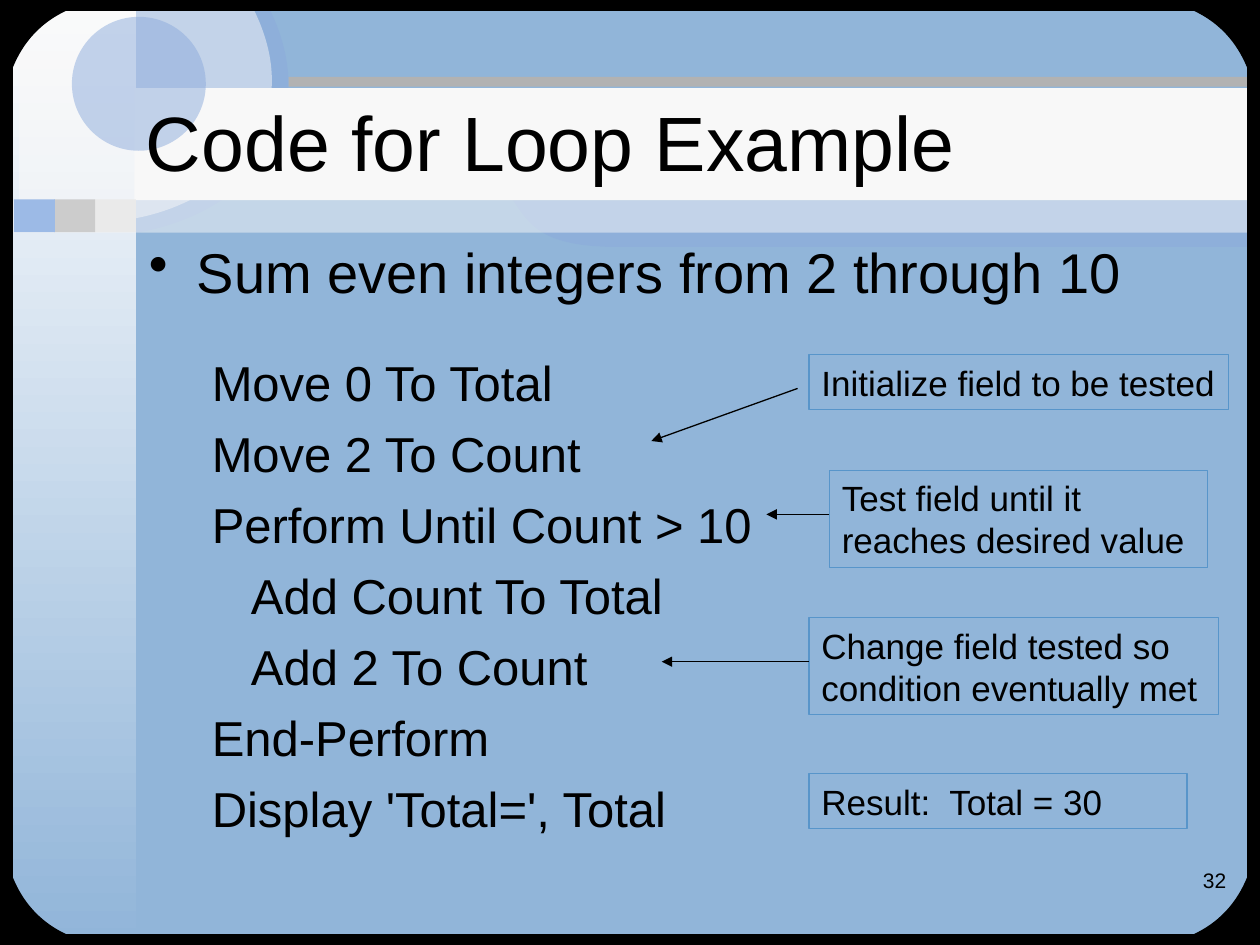
from dataclasses import dataclass
from typing import Optional

from lxml import etree
from pptx import Presentation
from pptx import util as u
from pptx.dml.color import RGBColor
from pptx.enum import shapes, text
from pptx.oxml import ns

WIDTH, HEIGHT = 25.4, 19.05
FONT = "Arial"
BLACK = RGBColor(0x00, 0x00, 0x00)
SKY = RGBColor(0x91, 0xB5, 0xD9)
HAZE = RGBColor(0x8C, 0xAB, 0xDC)
PAPER = RGBColor(0xF8, 0xF8, 0xF8)
SNOW = RGBColor(0xFE, 0xFE, 0xFE)
RULE_GREY = RGBColor(0xB2, 0xB2, 0xB2)
TILE_LIGHT = RGBColor(0xEA, 0xEA, 0xEA)
TILE_GREY = RGBColor(0xCC, 0xCC, 0xCC)
TILE_BLUE = RGBColor(0x9C, 0xBA, 0xE6)
CALLOUT_BLUE = RGBColor(0x58, 0x95, 0xCA)

Point = tuple[float, float]


@dataclass
class Panel:
    left: float
    top: float
    width: float
    height: float
    color: RGBColor
    alpha: int = 100
    kind: shapes.MSO_SHAPE = shapes.MSO_SHAPE.RECTANGLE
    edge: Optional[RGBColor] = None


@dataclass
class Callout:
    left: float
    top: float
    width: float
    height: float
    label: str


@dataclass
class CodeLine:
    words: str
    nested: bool = False


def paint(shape, color: RGBColor, alpha: int = 100, edge: Optional[RGBColor] = None) -> None:
    shape.shadow.inherit = False
    shape.fill.solid()
    shape.fill.fore_color.rgb = color
    if alpha < 100:
        tone = shape.fill._xPr.find(".//" + ns.qn("a:srgbClr"))
        etree.SubElement(tone, ns.qn("a:alpha"), val=str(alpha * 1000))
    if edge is None:
        shape.line.fill.background()
    else:
        shape.line.color.rgb = edge
        shape.line.width = u.Pt(0.75)


def draw_panel(page, panel: Panel):
    shape = page.shapes.add_shape(panel.kind, u.Cm(panel.left), u.Cm(panel.top),
                                  u.Cm(panel.width), u.Cm(panel.height))
    paint(shape, panel.color, panel.alpha, panel.edge)
    return shape


def draw_curves(page, points: list[Point], color: RGBColor, alpha: int = 100,
                edge: Optional[RGBColor] = None) -> None:
    """A start point, then two handles and an end point for each curve."""
    knots = [(u.Cm(x), u.Cm(y)) for x, y in points]
    builder = page.shapes.build_freeform(*knots[0])
    builder.add_line_segments(knots[1:], close=True)
    shape = builder.convert_to_shape()
    segments = list(shape._element.iter(ns.qn("a:lnTo")))
    for first in range(0, len(segments), 3):
        bend = etree.Element(ns.qn("a:cubicBezTo"))
        segments[first].addprevious(bend)
        for segment in segments[first:first + 3]:
            bend.append(segment[0])
            segment.getparent().remove(segment)
    paint(shape, color, alpha, edge)


def set_frame(frame, anchor=text.MSO_ANCHOR.TOP) -> None:
    frame.word_wrap = True
    frame.auto_size = text.MSO_AUTO_SIZE.NONE
    frame.vertical_anchor = anchor
    frame.margin_left = frame.margin_right = u.Cm(0.25)
    frame.margin_top = frame.margin_bottom = u.Cm(0.13)


def write(para, words: str, size: float, align=text.PP_ALIGN.LEFT) -> None:
    para.alignment = align
    span = para.add_run()
    span.text = words
    span.font.name = FONT
    span.font.size = u.Pt(size)
    span.font.color.rgb = BLACK


def indent(para, left: float, first: float = 0) -> None:
    props = para._p.get_or_add_pPr()
    props.set("marL", str(u.Cm(left)))
    props.set("indent", str(u.Cm(first)))


def draw_arrow(page, start: Point, end: Point) -> None:
    arrow = page.shapes.add_connector(shapes.MSO_CONNECTOR.STRAIGHT,
                                      *(u.Cm(value) for value in start + end))
    arrow.line.color.rgb = BLACK
    arrow.line.width = u.Pt(0.75)
    etree.SubElement(arrow.line._get_or_add_ln(), ns.qn("a:tailEnd"), type="triangle")
    etree.SubElement(arrow._element.spPr, ns.qn("a:effectLst"))


def draw_callout(page, note: Callout) -> None:
    box = page.shapes.add_shape(shapes.MSO_SHAPE.RECTANGLE, u.Cm(note.left), u.Cm(note.top),
                                u.Cm(note.width), u.Cm(note.height))
    paint(box, SKY, edge=CALLOUT_BLUE)
    box.fill.background()
    set_frame(box.text_frame)
    write(box.text_frame.paragraphs[0], note.label, 20)


def draw_backdrop(page) -> None:
    # Curved bands and side strip
    draw_curves(page, [(10.34, 4.04), (17.75, 4.04), (25.17, 4.04), (25.17, 4.04),
                       (25.17, 4.04), (25.17, 4.52), (25.17, 4.98),
                       (18.11, 4.98), (14.35, 4.98), (12.47, 4.98),
                       (10.9, 4.98), (10.67, 4.52), (10.34, 4.04)], HAZE, 50)
    draw_curves(page, [(5.41, 0.13), (7.14, 3.58), (2.95, 5.61), (0.38, 4.39),
                       (0.38, 4.11), (0.38, 0.81), (0.38, 0.13),
                       (1.45, 0.13), (3.76, 0.13), (5.41, 0.13)], HAZE, 50)
    draw_panel(page, Panel(5.82, 1.55, 19.58, 0.2, RULE_GREY))
    strip = draw_panel(page, Panel(0, 0, 2.74, HEIGHT, SKY))
    strip.fill.gradient()
    strip.fill.gradient_angle = 270
    for stop, color in zip(strip.fill.gradient_stops, (SNOW, SKY)):
        stop.color.rgb = color

    # Title band, circle and tiles
    draw_panel(page, Panel(0, 4.04, WIDTH, 0.65, PAPER, 50))
    draw_panel(page, Panel(2.71, 1.78, 22.69, 2.26, PAPER))
    draw_curves(page, [(5.11, 0.18), (6.71, 3.4), (2.77, 5.28), (0.38, 4.14),
                       (0.38, 3.89), (0.38, 0.81), (0.38, 0.18),
                       (1.37, 0.18), (3.53, 0.18), (5.11, 0.18)], PAPER, 50)
    draw_panel(page, Panel(1.45, 0.34, 2.7, 2.7, HAZE, 50, shapes.MSO_SHAPE.OVAL))
    for left, color in ((1.91, TILE_LIGHT), (1.09, TILE_GREY), (0.28, TILE_BLUE)):
        draw_panel(page, Panel(left, 4.02, 0.83, 0.66, color))

    # Black frame with rounded corners
    side, rim = 0.25, 0.21
    for left, top, width, height in ((0, 0, side, HEIGHT), (WIDTH - side, 0, side, HEIGHT),
                                     (0, 0, WIDTH, rim), (0, HEIGHT - rim, WIDTH, rim)):
        draw_panel(page, Panel(left, top, width, height, BLACK, edge=BLACK))
    corner = [(0, 2.24), (0, 1.73), (0.03, 1.12), (0.03, 0), (0.6, 0), (1.65, 0), (1.96, 0),
              (0.23, 0.36), (0.13, 1.78), (0, 2.24)]
    for right in (False, True):
        for bottom in (False, True):
            draw_curves(page, [(WIDTH - x if right else x, HEIGHT - y if bottom else y)
                               for x, y in corner], BLACK, edge=BLACK)


def draw_title(page) -> None:
    title = page.shapes.title
    title.left, title.top, title.width, title.height = map(u.Cm, (2.69, 1.24, 22.1, 3.18))
    set_frame(title.text_frame, text.MSO_ANCHOR.MIDDLE)
    write(title.text_frame.paragraphs[0], "Code for Loop Example", 44)
    page.shapes._spTree.append(title._element)  # in front of the backdrop


def draw_code(page, heading: str, lines: list[CodeLine]) -> None:
    frame = page.shapes.add_textbox(u.Cm(2.75), u.Cm(4.65), u.Cm(21.59), u.Cm(12.37)).text_frame
    set_frame(frame)
    para = frame.paragraphs[0]
    indent(para, 0.97, -0.97)
    etree.SubElement(para._p.get_or_add_pPr(), ns.qn("a:buChar"), char="•")
    write(para, heading, 32)
    for number, line in enumerate(lines):
        para = frame.add_paragraph()
        indent(para, 2.06 if line.nested else 1.27)
        para.space_before = u.Pt(7 if number else 27.3)
        write(para, line.words, 28)


def main() -> None:
    deck = Presentation()
    deck.slide_width, deck.slide_height = u.Cm(WIDTH), u.Cm(HEIGHT)
    page = deck.slides.add_slide(deck.slide_layouts[5])
    page.background.fill.solid()
    page.background.fill.fore_color.rgb = SKY

    draw_backdrop(page)
    draw_title(page)
    draw_code(page, "Sum even integers from 2 through 10", [
        CodeLine("Move 0 To Total"), CodeLine("Move 2 To Count"),
        CodeLine("Perform Until Count > 10"), CodeLine("Add Count To Total", nested=True),
        CodeLine("Add 2 To Count", nested=True), CodeLine("End-Perform"),
        CodeLine("Display 'Total=', Total")])

    # Explanations beside the code
    for note in (Callout(16.31, 7.15, 8.46, 1.11, "Initialize field to be tested"),
                 Callout(16.72, 9.48, 7.62, 1.96, "Test field until it reaches desired value"),
                 Callout(16.31, 12.45, 8.26, 1.96,
                         "Change field tested so condition eventually met"),
                 Callout(16.31, 15.6, 7.62, 1.11, "Result:  Total = 30")):
        draw_callout(page, note)

    # Arrows from explanations to code
    for start, end in (((16.08, 7.83), (13.13, 8.89)), ((16.72, 10.37), (15.45, 10.37)),
                       ((16.31, 13.34), (13.34, 13.34))):
        draw_arrow(page, start, end)

    # Page number
    number = page.shapes.add_textbox(u.Cm(19.69), u.Cm(17.36), u.Cm(5.28), u.Cm(1.27)).text_frame
    set_frame(number)
    write(number.paragraphs[0], "32", 12, text.PP_ALIGN.RIGHT)
    deck.save("out.pptx")


if __name__ == "__main__":
    main()
